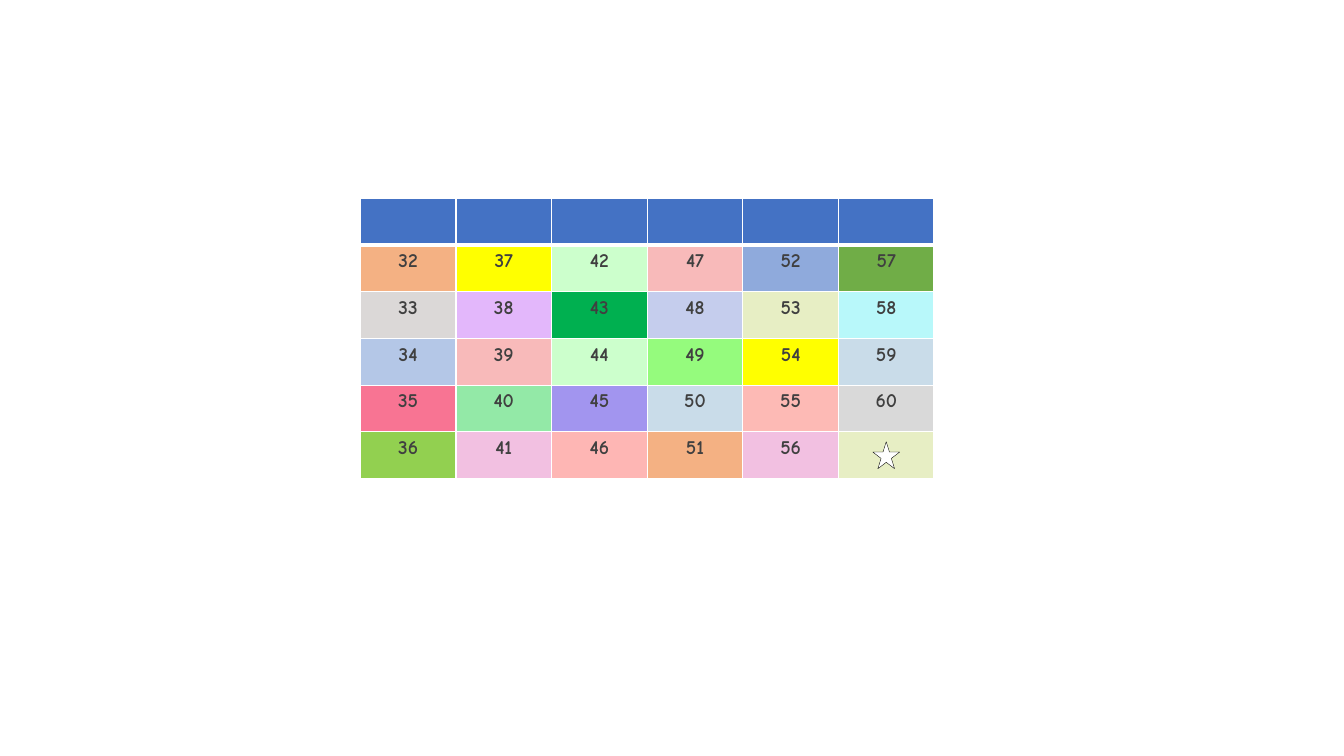
from lxml import etree
from pptx import Presentation
from pptx import util as u
from pptx.dml.color import RGBColor
from pptx.enum import shapes, text
from pptx.oxml.ns import qn

FONT = "Comic Neue"
COLORS = {
    "header": "4472C4", "ink": "404040", "white": "FFFFFF", "black": "000000",
    "orange": "F4B183", "yellow": "FFFF00", "mint": "CCFFCC", "pink": "F8BABA",
    "blue": "8FAADC", "leaf": "70AD47", "stone": "DBD8D7", "violet": "E3B7FB",
    "green": "00B050", "lavender": "C5CDED", "cream": "E7EEC4", "aqua": "B8F8FA",
    "sky": "B4C7E7", "lime": "95FB7D", "mist": "C9DCE9", "rose": "F87493",
    "sea": "93E9A7", "purple": "A295EF", "peach": "FDBAB5", "grey": "D9D9D9",
    "grass": "92D050", "orchid": "F2C0E1", "salmon": "FEB6B4",
}
CELL_FILLS = [
    ["orange", "yellow", "mint", "pink", "blue", "leaf"],
    ["stone", "violet", "green", "lavender", "cream", "aqua"],
    ["sky", "pink", "mint", "lime", "yellow", "mist"],
    ["rose", "sea", "purple", "mist", "peach", "grey"],
    ["grass", "orchid", "salmon", "orange", "orchid", "cream"],
]
FIRST, LAST = 32, 60


def rgb(name):
    return RGBColor.from_string(COLORS[name])


def style_cell(cell, fill, bottom=1):
    """Give a cell white borders and a solid fill."""
    tcPr = cell._tc.get_or_add_tcPr()
    for side, width in (("L", 1), ("R", 1), ("T", 1), ("B", bottom)):
        ln = etree.SubElement(tcPr, qn(f"a:ln{side}"), w=str(u.Pt(width)))
        solid = etree.SubElement(ln, qn("a:solidFill"))
        etree.SubElement(solid, qn("a:srgbClr"), val=COLORS["white"])
    cell.fill.solid()
    cell.fill.fore_color.rgb = rgb(fill)


def write_number(cell, number):
    p = cell.text_frame.paragraphs[0]
    p.text = str(number)
    p.alignment = text.PP_ALIGN.CENTER
    font = p.runs[0].font
    font.name, font.size, font.bold = FONT, u.Pt(14), True
    font.color.rgb = rgb("ink")


def add_number_grid(s, left, top, width, height):
    """Header row, then numbers that run down each column."""
    n_rows, n_cols = len(CELL_FILLS), len(CELL_FILLS[0])
    table = s.shapes.add_table(n_rows + 1, n_cols, left, top, width, height).table
    table.horz_banding = False
    for cell in table.rows[0].cells:
        style_cell(cell, "header", bottom=3)
    for i, fills in enumerate(CELL_FILLS):
        for j, fill in enumerate(fills):
            cell = table.cell(i + 1, j)
            # The header's thick rule is shared with the first number row
            style_cell(cell, fill)
            if i == 0:
                cell._tc.tcPr.find(qn("a:lnT")).set("w", str(u.Pt(3)))
            number = FIRST + j * n_rows + i
            if number <= LAST:
                write_number(cell, number)

    # Star in the last cell
    size = u.Cm(0.68)
    cell_w, cell_h = width // n_cols, height // (n_rows + 1)
    sp = s.shapes.add_shape(
        shapes.MSO_SHAPE.STAR_5_POINT,
        left + width - (cell_w + size) // 2,
        top + height - (cell_h + size) // 2,
        size, size)
    sp.shadow.inherit = False
    sp.fill.solid()
    sp.fill.fore_color.rgb = rgb("white")
    sp.line.color.rgb = rgb("black")
    sp.line.width = u.Pt(0.25)


def main():
    prs = Presentation()
    prs.slide_width, prs.slide_height = u.Cm(33.87), u.Cm(19.05)
    s = prs.slides.add_slide(prs.slide_layouts[6])
    add_number_grid(s, u.Cm(9.08), u.Cm(5), u.Cm(14.46), u.Cm(7.06))
    prs.save("out.pptx")


if __name__ == "__main__":
    main()
